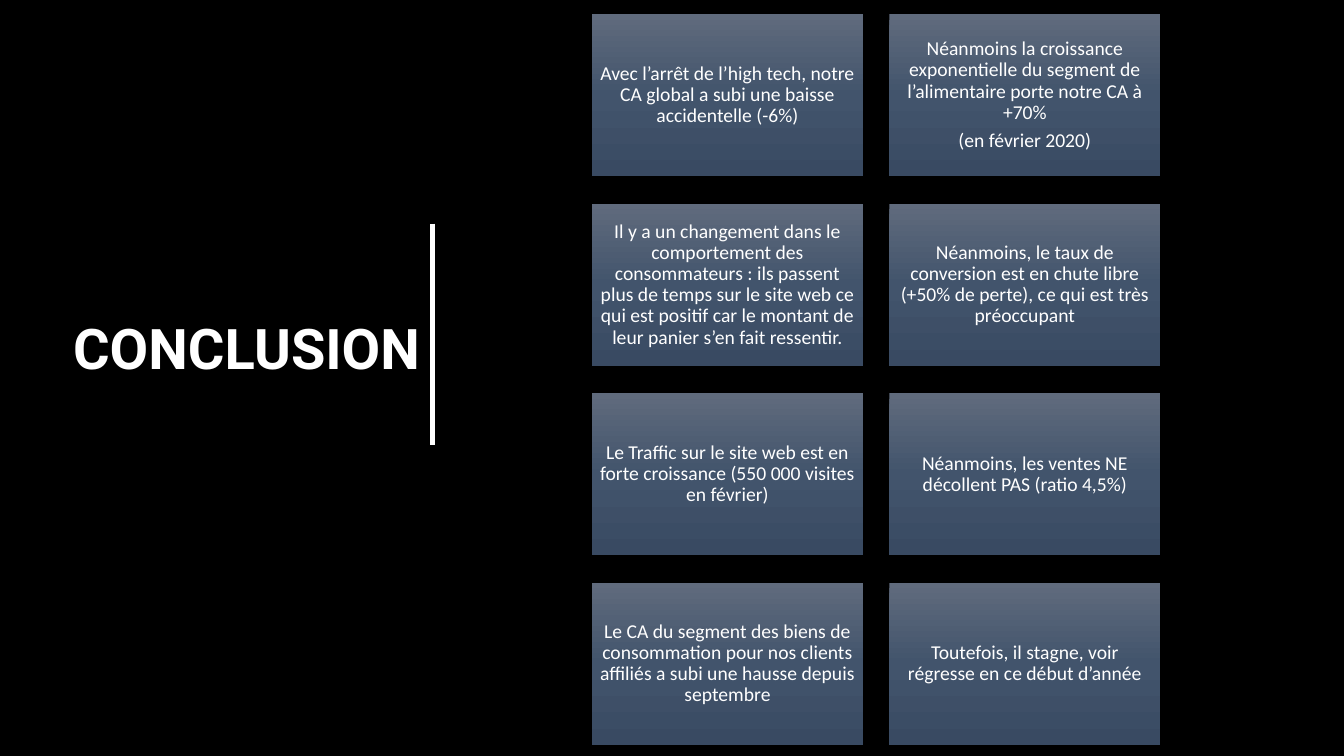
import copy
from dataclasses import dataclass

import pptx
import pptx.dml.color
import pptx.enum.shapes
import pptx.enum.text
import pptx.oxml.ns
import pptx.shapes.autoshape
import pptx.slide
import pptx.text.text
import pptx.util

Inches = pptx.util.Inches
Pt = pptx.util.Pt

WHITE = "FFFFFF"
BLACK = "000000"
SHADES = [(0, "606B7D"), (0.5, "42546C"), (1, "394A62")]

LEFT, TOP = 5.87, 0.14
WIDTH, HEIGHT = 2.69, 1.61
STEP_X, STEP_Y = 2.95, 1.88
INSET = 0.06


@dataclass
class Pair:
    """One row: a finding and the remark that answers it."""
    fact: list[str]
    reply: list[str]


PAIRS = [
    Pair(["Avec l’arrêt de l’high tech, notre CA global a subi une baisse "
          "accidentelle (-6%)"],
         ["Néanmoins la croissance exponentielle du segment de "
          "l’alimentaire porte notre CA à +70%",
          "(en février 2020)"]),
    Pair(["Il y a un changement dans le comportement des consommateurs : "
          "ils passent plus de temps sur le site web ce qui est positif "
          "car le montant de leur panier s’en fait ressentir."],
         ["Néanmoins, le taux de conversion est en chute libre "
          "(+50% de perte), ce qui est très préoccupant"]),
    Pair(["Le Traffic sur le site web est en forte croissance "
          "(550 000 visites en février)"],
         ["Néanmoins, les ventes NE décollent PAS (ratio 4,5%)"]),
    Pair(["Le CA du segment des biens de consommation pour nos clients "
          "affiliés a subi une hausse depuis septembre"],
         ["Toutefois, il stagne, voir régresse en ce début d’année"]),
]


def color(code: str) -> pptx.dml.color.RGBColor:
    return pptx.dml.color.RGBColor.from_string(code)


def add_run(para: pptx.text.text._Paragraph, text: str, font: str,
            size: float, bold: bool = False) -> None:
    para.alignment = pptx.enum.text.PP_ALIGN.CENTER
    run = para.add_run()
    run.text = text
    run.font.name = font
    run.font.size = Pt(size)
    run.font.bold = bold
    run.font.color.rgb = color(WHITE)


def shade(card: pptx.shapes.autoshape.Shape) -> None:
    """Fill the card with a three-stop gradient from top to bottom."""
    card.fill.gradient()
    card.fill.gradient_angle = 270
    stops = card.element.spPr.find(
        ".//" + pptx.oxml.ns.qn("a:gsLst"))
    stops.append(copy.deepcopy(stops[-1]))
    for stop, (place, code) in zip(card.fill.gradient_stops, SHADES):
        stop.position = place
        stop.color.rgb = color(code)


def add_card(slide: pptx.slide.Slide, row: int, col: int,
             lines: list[str]) -> None:
    card = slide.shapes.add_shape(
        pptx.enum.shapes.MSO_SHAPE.RECTANGLE,
        Inches(LEFT + col * STEP_X), Inches(TOP + row * STEP_Y),
        Inches(WIDTH), Inches(HEIGHT))
    card.shadow.inherit = False
    card.line.fill.background()
    shade(card)
    frame = card.text_frame
    frame.word_wrap = True
    frame.vertical_anchor = pptx.enum.text.MSO_ANCHOR.MIDDLE
    frame.margin_left = frame.margin_right = Inches(INSET)
    frame.margin_top = frame.margin_bottom = Inches(INSET)
    for i, line in enumerate(lines):
        para = frame.add_paragraph() if i else frame.paragraphs[0]
        para.line_spacing = 0.9
        para.space_after = Pt(4.9)
        add_run(para, line, "Calibri", 14)


def set_title(slide: pptx.slide.Slide, text: str) -> None:
    title = slide.shapes.title
    title.left, title.top = Inches(0.23), Inches(2.9)
    title.width, title.height = Inches(4.43), Inches(0.93)
    frame = title.text_frame
    frame.word_wrap = True
    frame.auto_size = pptx.enum.text.MSO_AUTO_SIZE.NONE
    frame.vertical_anchor = pptx.enum.text.MSO_ANCHOR.BOTTOM
    para = frame.paragraphs[0]
    para.space_before = Pt(10)
    add_run(para, text, "Roboto", 40, bold=True)


def add_rule(slide: pptx.slide.Slide) -> None:
    """Draw the upright line beside the title."""
    rule = slide.shapes.add_connector(
        pptx.enum.shapes.MSO_CONNECTOR.STRAIGHT,
        Inches(4.29), Inches(2.22), Inches(4.29), Inches(4.41))
    rule.line.color.rgb = color(WHITE)
    rule.line.width = Pt(3)
    rule.element.spPr.append(pptx.oxml.parse_xml(
        f"<a:effectLst {pptx.oxml.ns.nsdecls('a')}/>"))


def main() -> None:
    deck = pptx.Presentation()
    deck.slide_width, deck.slide_height = Inches(13.33), Inches(7.5)
    slide = deck.slides.add_slide(deck.slide_layouts[5])
    back = slide.background.fill
    back.solid()
    back.fore_color.rgb = color(BLACK)
    set_title(slide, "CONCLUSION")
    for row, pair in enumerate(PAIRS):
        for col, lines in enumerate((pair.fact, pair.reply)):
            add_card(slide, row, col, lines)
    add_rule(slide)
    deck.save("out.pptx")


if __name__ == "__main__":
    main()
